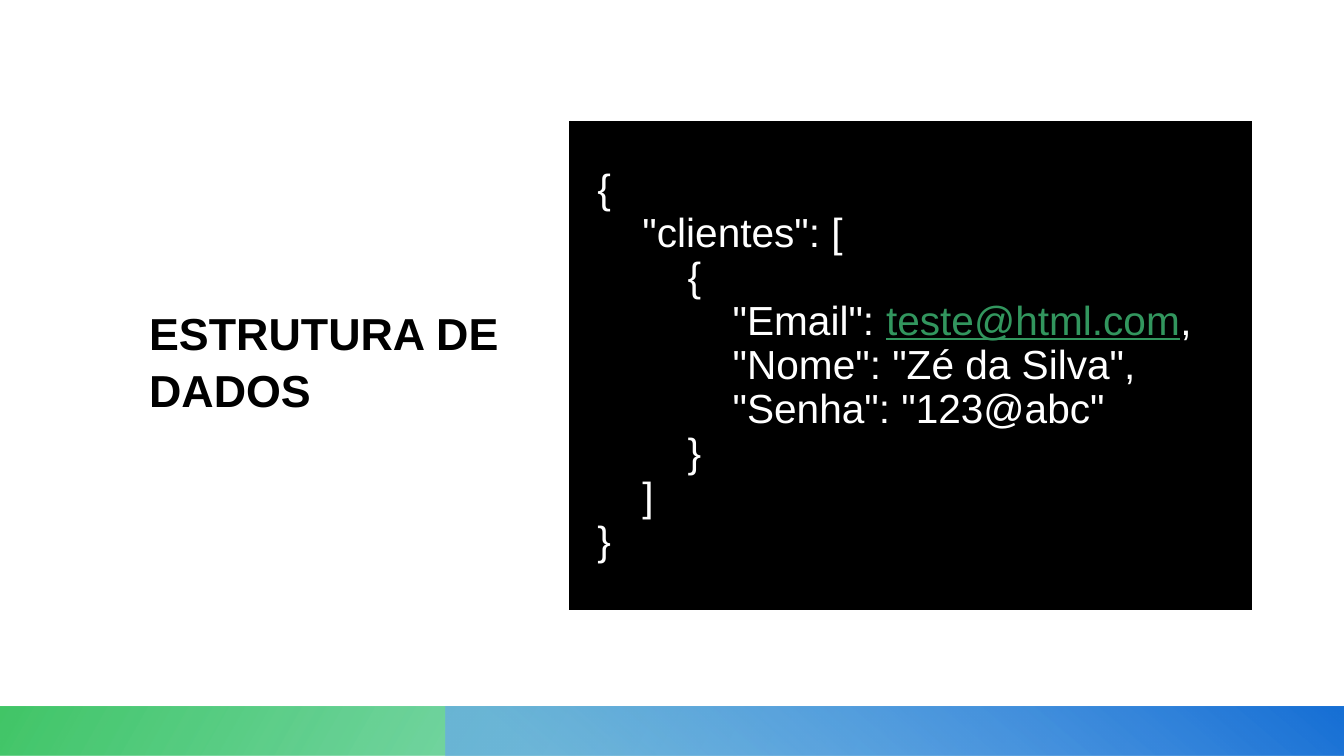
from lxml.etree import SubElement
from pptx import Presentation
from pptx.dml.color import RGBColor
from pptx.enum.shapes import MSO_SHAPE as Preset
from pptx.enum.text import MSO_ANCHOR as Anchor, MSO_AUTO_SIZE as AutoSize, PP_ALIGN as Align
from pptx.oxml.ns import qn
from pptx.util import Pt

PX = 9525
FONT = "Arial"
BLACK = RGBColor(0x00, 0x00, 0x00)
WHITE = RGBColor(0xFF, 0xFF, 0xFF)
TEAL = RGBColor(0x14, 0xBA, 0x88)
GREEN = RGBColor(0x21, 0xBC, 0x4D)
SKY = RGBColor(0x68, 0xA8, 0xEF)
BLUE = RGBColor(0x17, 0x70, 0xD7 - 2)
LINK = RGBColor(0x32, 0x96, 0x5E)

CODE = [
    [("{", WHITE)],
    [('    "clientes": [', WHITE)],
    [("        {", WHITE)],
    [('            "Email": ', WHITE), ("teste@html.com", LINK), (",", WHITE)],
    [('            "Nome": "Zé da Silva",', WHITE)],
    [('            "Senha": "123@abc"', WHITE)],
    [("        }", WHITE)],
    [("    ]", WHITE)],
    [("}", WHITE)],
]


def to_emu(box):
    """Turn lengths in px into EMU."""
    return [length * PX for length in box]


def style_font(font, size, color, bold=False):
    """Give a font its face, size, colour and weight."""
    font.name, font.size, font.bold = FONT, Pt(size), bold
    font.color.rgb = color


def add_bar(slide, box, angle, stops):
    """Draw a footer bar with a gradient of (position, colour, opacity) stops."""
    bar = slide.shapes.add_shape(Preset.RECTANGLE, *to_emu(box))
    bar.shadow.inherit = False
    bar.line.fill.background()
    bar.fill.gradient()
    gradient = bar._element.spPr.find(qn("a:gradFill"))
    stop_list = gradient.find(qn("a:gsLst"))
    for stop in list(stop_list):
        stop_list.remove(stop)
    for position, color, opacity in stops:
        stop = SubElement(stop_list, qn("a:gs"), pos=str(position * 1000))
        tint = SubElement(stop, qn("a:srgbClr"), val=str(color))
        SubElement(tint, qn("a:alpha"), val=str(opacity * 1000))
    direction = gradient.find(qn("a:lin"))
    direction.set("ang", str(angle * 60000))
    direction.set("scaled", "0")


def add_footer(slide, box):
    """Lay the green bar over the whole box and the blue bar over its right part."""
    left, top, width, height = box
    blue_start = 424
    add_bar(slide, box, 210, [(0, TEAL, 28), (14, TEAL, 28), (100, GREEN, 85)])
    add_bar(slide, (left + blue_start, top, width - blue_start, height), 310,
            [(0, SKY, 68), (9, SKY, 68), (99, BLUE, 100), (100, BLUE, 100)])


def place_title(slide, box):
    """Move the title placeholder into the box and format it."""
    title = slide.shapes.title
    title.left, title.top, title.width, title.height = to_emu(box)
    frame = title.text_frame
    frame.text = "ESTRUTURA DE DADOS"
    frame.word_wrap, frame.auto_size = True, AutoSize.NONE
    frame.vertical_anchor = Anchor.MIDDLE
    frame.margin_left = frame.margin_top = frame.margin_right = frame.margin_bottom = 0
    paragraph = frame.paragraphs[0]
    paragraph.alignment, paragraph.line_spacing = Align.LEFT, 1.05
    style_font(paragraph.runs[0].font, 32, BLACK, bold=True)


def set_borders(cell):
    """Line the left and top edges in black and leave the others open."""
    properties = cell._tc.get_or_add_tcPr()
    for edge in ("lnL", "lnR", "lnT", "lnB"):
        line = SubElement(properties, qn(f"a:{edge}"), w=str(Pt(1.5)))
        if edge in ("lnL", "lnT"):
            SubElement(SubElement(line, qn("a:solidFill")), qn("a:srgbClr"), val=str(BLACK))
        else:
            SubElement(line, qn("a:noFill"))


def add_code_table(slide, box):
    """Show the JSON code in a one-cell black table."""
    table = slide.shapes.add_table(1, 1, *to_emu(box)).table
    table.first_row = table.horz_banding = False
    cell = table.cell(0, 0)
    set_borders(cell)
    cell.fill.solid()
    cell.fill.fore_color.rgb = BLACK
    cell.vertical_anchor = Anchor.MIDDLE
    cell.margin_left, cell.margin_top, cell.margin_right, cell.margin_bottom = to_emu((26, 20, 34, 20))
    frame = cell.text_frame
    for index, pieces in enumerate(CODE):
        paragraph = frame.add_paragraph() if index else frame.paragraphs[0]
        paragraph.line_spacing = 0.97
        for text, color in pieces:
            run = paragraph.add_run()
            run.text = text
            style_font(run.font, 29, color)
            run.font.underline = color == LINK


def main():
    """Build the slide and save it."""
    presentation = Presentation()
    presentation.slide_width, presentation.slide_height = to_emu((1280, 720))
    slide = presentation.slides.add_slide(presentation.slide_layouts[5])
    place_title(slide, (142, 108, 350, 469))
    add_footer(slide, (0, 673, 1280, 47))
    add_code_table(slide, (543, 116, 649, 465))
    presentation.save("out.pptx")


if __name__ == "__main__":
    main()
